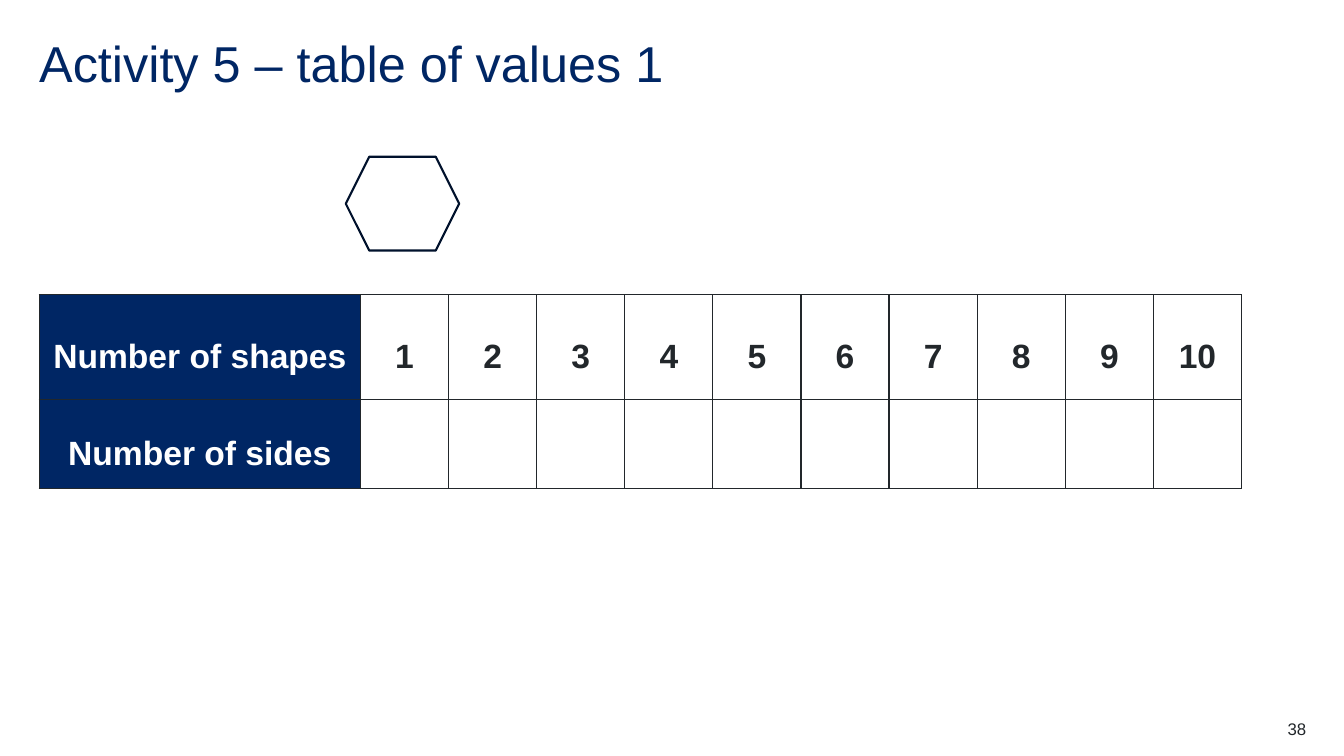
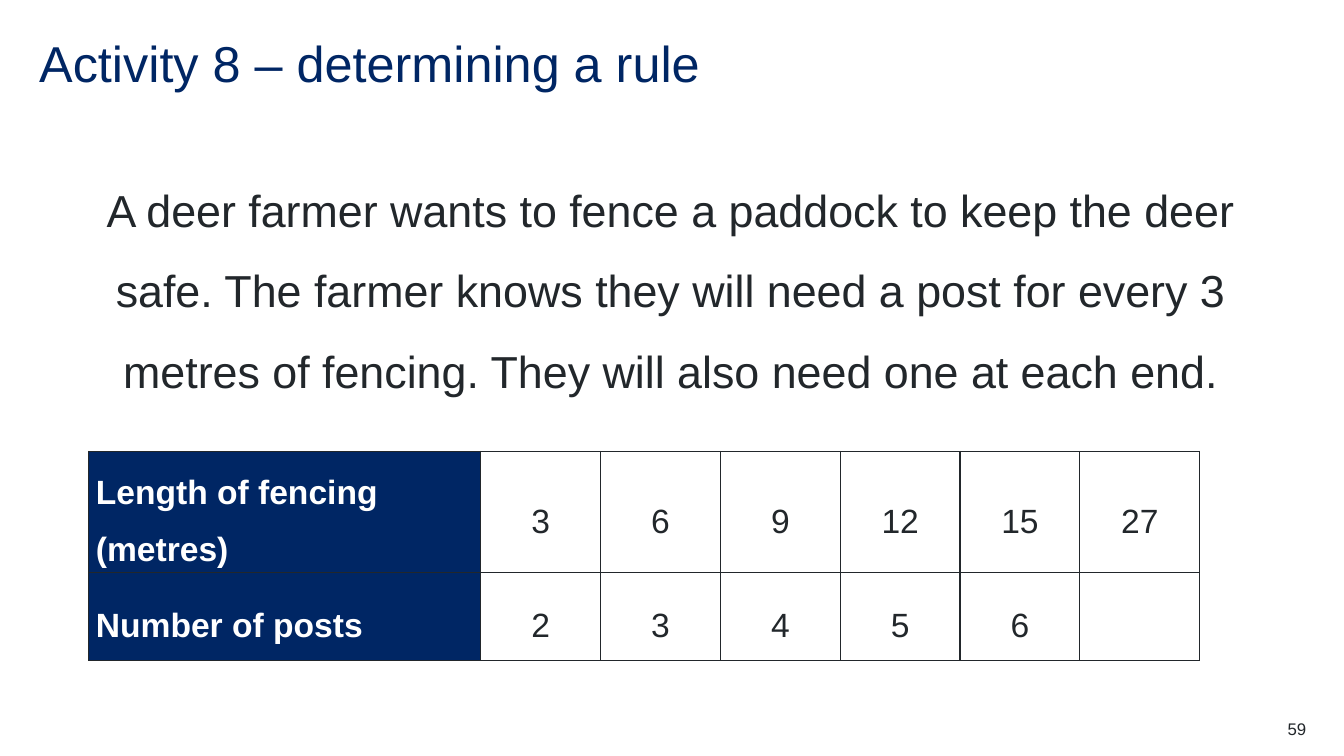
from dataclasses import dataclass

from lxml import etree
from pptx import Presentation
from pptx.dml import color
from pptx.enum import shapes, text
from pptx.oxml import ns
from pptx.util import Pt

NAVY, DARK, INK, WHITE = "002664", "22272B", "00112C", "FFFFFF"
FONT = "Arial"
LEFT, MID, RIGHT = text.PP_ALIGN.LEFT, text.PP_ALIGN.CENTER, text.PP_ALIGN.RIGHT


@dataclass(frozen=True)
class Box:
    x: float
    y: float
    w: float
    h: float


@dataclass(frozen=True)
class Style:
    size: float
    tint: str = DARK
    align: text.PP_ALIGN = LEFT
    space: float = 1.0
    bold: bool = False


@dataclass(frozen=True)
class Grid:
    x: float
    y: float
    head: float
    step: float
    tall: tuple[float, ...]
    rows: tuple[tuple[str, ...], ...]
    align: text.PP_ALIGN
    bold: bool


TITLE = Style(36, NAVY, space=0.9)
BODY = Style(32, align=MID, space=1.5)
PAGE = Style(12, align=RIGHT)

SHAPES = Grid(28, 210.5, 229.5, 62.95, (75, 63.5),
              (("Number of shapes", *map(str, range(1, 11))),
               ("Number of sides", *[""] * 10)), MID, True)
POSTS = Grid(63.5, 322.5, 280, 85.6, (80.7, 62.7),
             (("Length of fencing (metres)", "3", "6", "9", "12", "15", "27"),
              ("Number of posts", "2", "3", "4", "5", "6", "")), LEFT, False)


def tone(code: str) -> color.RGBColor:
    return color.RGBColor.from_string(code)


def write(frame, words: str, style: Style) -> None:
    para = frame.paragraphs[0]
    para.text = words
    para.alignment = style.align
    para.line_spacing = style.space
    font = para.font
    font.name, font.size, font.bold = FONT, Pt(style.size), style.bold
    font.color.rgb = tone(style.tint)


def label(slide, box: Box, words: str, style: Style) -> None:
    frame = slide.shapes.add_textbox(Pt(box.x), Pt(box.y), Pt(box.w), Pt(box.h)).text_frame
    frame.word_wrap = True
    frame.margin_left = frame.margin_right = frame.margin_top = frame.margin_bottom = 0
    write(frame, words, style)


def border(cell) -> None:
    props = cell._tc.get_or_add_tcPr()
    for spot, side in enumerate(("lnL", "lnR", "lnT", "lnB")):
        line = etree.Element(ns.qn(f"a:{side}"), w=str(Pt(1)))
        fill = etree.SubElement(line, ns.qn("a:solidFill"))
        etree.SubElement(fill, ns.qn("a:srgbClr"), val=DARK)
        props.insert(spot, line)


def table(slide, grid: Grid) -> None:
    count = len(grid.rows[0])
    wide = grid.head + grid.step * (count - 1)
    made = slide.shapes.add_table(len(grid.rows), count, Pt(grid.x), Pt(grid.y),
                                  Pt(wide), Pt(sum(grid.tall))).table
    made.first_row = made.horz_banding = False
    for col, part in enumerate(made.columns):
        part.width = Pt(grid.step if col else grid.head)
    for row, words in enumerate(grid.rows):
        made.rows[row].height = Pt(grid.tall[row])
        for col, word in enumerate(words):
            cell = made.cell(row, col)
            cell.margin_left = cell.margin_right = Pt(5)
            cell.margin_top = cell.margin_bottom = 0
            cell.vertical_anchor = text.MSO_ANCHOR.MIDDLE
            if col:
                cell.fill.background()
                style = Style(24, DARK, MID, 1.5, grid.bold)
            else:
                cell.fill.solid()
                cell.fill.fore_color.rgb = tone(NAVY)
                style = Style(24, WHITE, grid.align, 1.5, True)
            write(cell.text_frame, word, style)
            border(cell)


def hexagon(slide, box: Box) -> None:
    shape = slide.shapes.add_shape(shapes.MSO_SHAPE.HEXAGON, Pt(box.x), Pt(box.y),
                                   Pt(box.w), Pt(box.h))
    shape.shadow.inherit = False
    shape.fill.background()
    shape.line.color.rgb = tone(INK)
    shape.line.width = Pt(1.5)


def start(deck, title: str, page: int):
    slide = deck.slides.add_slide(deck.slide_layouts[6])
    label(slide, Box(28, 28, 832, 43), title, TITLE)
    label(slide, Box(876, 513.5, 57, 14), str(page), PAGE)
    return slide


def main() -> None:
    deck = Presentation()
    deck.slide_width, deck.slide_height = Pt(960), Pt(540)

    slide = start(deck, "Activity 5 – table of values 1", 38)
    hexagon(slide, Box(247, 112, 81, 67))
    table(slide, SHAPES)

    slide = start(deck, "Activity 8 – determining a rule", 59)
    label(slide, Box(63.5, 111, 832, 101.5),
          "A deer farmer wants to fence a paddock to keep the deer safe. "
          "The farmer knows they will need a post for every 3 metres of fencing. "
          "They will also need one at each end.", BODY)
    table(slide, POSTS)

    deck.save("out.pptx")


if __name__ == "__main__":
    main()
